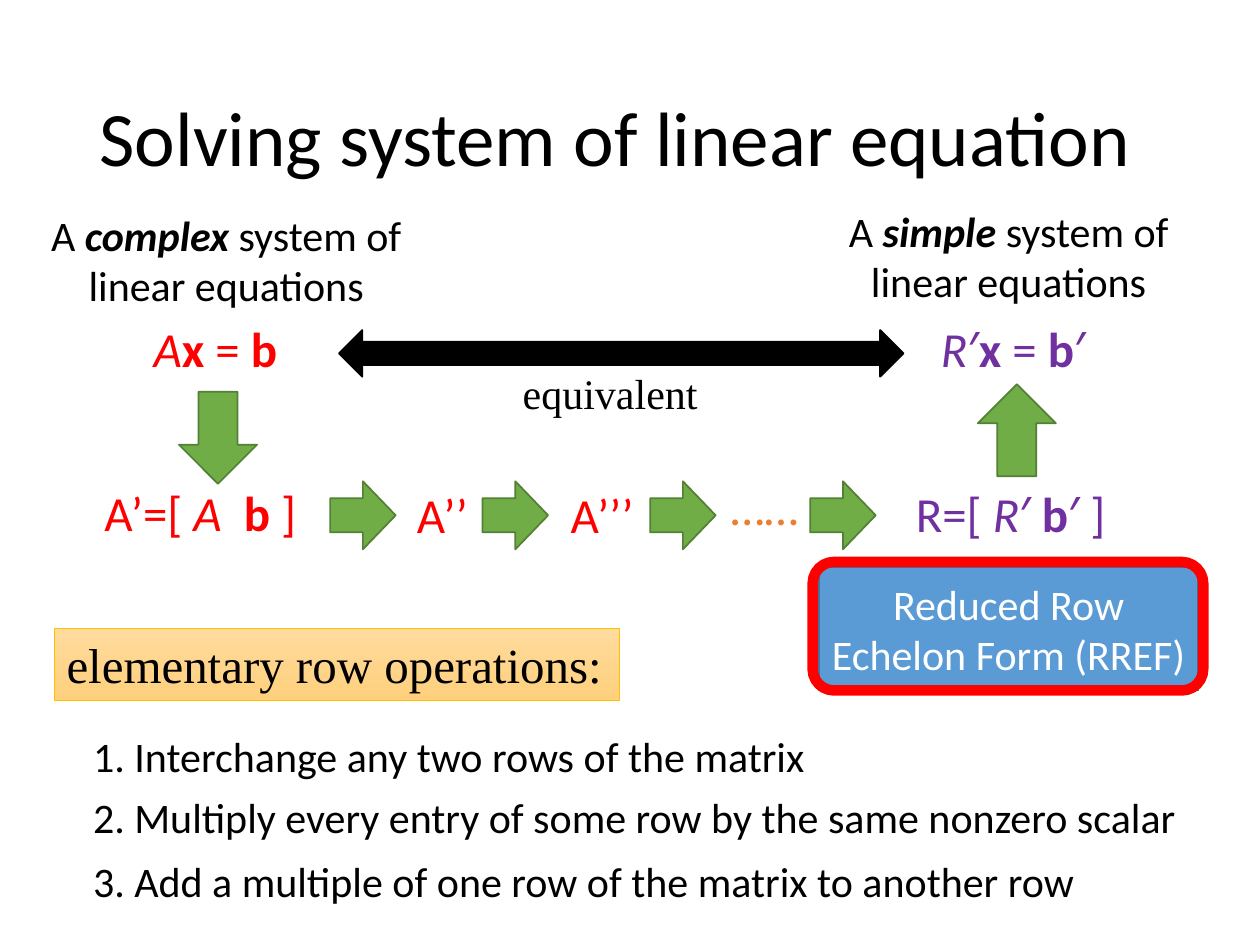
from pptx import Presentation
from pptx.dml.color import RGBColor
from pptx.enum.shapes import MSO_SHAPE
from pptx.enum.text import MSO_ANCHOR, MSO_AUTO_SIZE, PP_ALIGN
from pptx.util import Inches, Pt

LEFT, CENTER = PP_ALIGN.LEFT, PP_ALIGN.CENTER
MIDDLE, TOP = MSO_ANCHOR.MIDDLE, MSO_ANCHOR.TOP
NO_FIT, GROW = MSO_AUTO_SIZE.NONE, MSO_AUTO_SIZE.SHAPE_TO_FIT_TEXT
DOWN, UP, RIGHT = MSO_SHAPE.DOWN_ARROW, MSO_SHAPE.UP_ARROW, MSO_SHAPE.RIGHT_ARROW
BOTH_WAYS = MSO_SHAPE.LEFT_RIGHT_ARROW
RECT, ROUNDED = MSO_SHAPE.RECTANGLE, MSO_SHAPE.ROUNDED_RECTANGLE

BLACK = RGBColor(0x00, 0x00, 0x00)
WHITE = RGBColor(0xFF, 0xFF, 0xFF)
RED = RGBColor(0xFF, 0x00, 0x00)
PURPLE = RGBColor(0x70, 0x30, 0xA0)
ORANGE = RGBColor(0xED, 0x7D, 0x31)
GREEN = RGBColor(0x70, 0xAD, 0x47)
DARK_GREEN = RGBColor(0x53, 0x80, 0x35)
BLUE = RGBColor(0x5B, 0x9B, 0xD5)
DARK_BLUE = RGBColor(0x43, 0x73, 0x9E)
GOLD = RGBColor(0xFF, 0xC0, 0x00)
LIGHT_SAND = RGBColor(0xFF, 0xDB, 0x9E)
SAND = RGBColor(0xFF, 0xD0, 0x7C)

SANS, SERIF = "Calibri", "Times New Roman"


class SlideBuilder:
    def __init__(self, slide):
        self.slide = slide

    def set_runs(self, frame, parts, size, color=BLACK, font=SANS, align=LEFT):
        paragraph = frame.paragraphs[0]
        paragraph.alignment = align
        for text, style in parts:
            run = paragraph.add_run()
            run.text = text
            run.font.name = font
            run.font.size = Pt(size)
            run.font.color.rgb = color
            run.font.bold = "b" in style
            run.font.italic = "i" in style

    def title(self, text, left, top, width, height):
        title = self.slide.shapes.title
        title.left, title.top = Inches(left), Inches(top)
        title.width, title.height = Inches(width), Inches(height)
        frame = title.text_frame
        frame.auto_size = NO_FIT
        frame.vertical_anchor = MIDDLE
        frame.paragraphs[0].line_spacing = 0.9
        self.set_runs(frame, [(text, "")], 44)

    def label(self, parts, left, top, width, height, size=28, wrap=False, **style):
        box = self.slide.shapes.add_textbox(
            Inches(left), Inches(top), Inches(width), Inches(height))
        frame = box.text_frame
        frame.word_wrap = wrap
        frame.auto_size = GROW
        self.set_runs(frame, parts, size, **style)

    def shape(self, kind, left, top, width, height, fill, line, line_width=1):
        shape = self.slide.shapes.add_shape(
            kind, Inches(left), Inches(top), Inches(width), Inches(height))
        shape.shadow.inherit = False
        if fill is None:
            shape.fill.background()
        else:
            shape.fill.solid()
            shape.fill.fore_color.rgb = fill
        shape.line.color.rgb = line
        shape.line.width = Pt(line_width)
        return shape

    def step_arrow(self, kind, left, top, width, height):
        self.shape(kind, left, top, width, height, GREEN, DARK_GREEN)

    def heading(self, text, left, top, width, height):
        banner = self.shape(RECT, left, top, width, height, SAND, GOLD, 0.5)
        banner.fill.gradient()
        banner.fill.gradient_angle = 270
        for stop, color in zip(banner.fill.gradient_stops, (LIGHT_SAND, SAND)):
            stop.color.rgb = color
        frame = banner.text_frame
        frame.word_wrap = False
        frame.auto_size = GROW
        frame.vertical_anchor = TOP
        self.set_runs(frame, [(text, "")], 28, font=SERIF)

    def framed_box(self, text, left, top, width, height):
        box = self.shape(RECT, left, top, width, height, BLUE, DARK_BLUE)
        box.text_frame.word_wrap = True
        box.text_frame.vertical_anchor = MIDDLE
        self.set_runs(box.text_frame, [(text, "")], 24, WHITE, align=CENTER)
        self.shape(ROUNDED, left - 0.05, top - 0.04, width + 0.09, height + 0.04,
                   None, RED, 6)


def main():
    deck = Presentation()
    deck.slide_width, deck.slide_height = Inches(10), Inches(7.5)
    page = SlideBuilder(deck.slides.add_slide(deck.slide_layouts[5]))

    page.title("Solving system of linear equation", 0.69, 0.4, 8.62, 1.45)

    for kind, left, top in (("complex", 0.19, 1.61), ("simple", 6.4, 1.58)):
        page.label([("A ", ""), (kind, "bi"), (" system of linear equations", "")],
                   left, top, 3.21, 0.91, size=24, wrap=True, align=CENTER)

    page.label([("A", "i"), ("x", "b"), (" = ", ""), ("b", "b")],
               1.12, 2.48, 1.29, 0.57, color=RED)
    page.label([("R", "i"), ("′", ""), ("x", "b"), (" = ", ""), ("b", "b"), ("′", "")],
               7.37, 2.48, 1.37, 0.57, color=PURPLE)
    page.shape(BOTH_WAYS, 2.69, 2.62, 4.48, 0.37, BLACK, BLACK)
    page.label([("equivalent", "")], 4.05, 2.87, 1.59, 0.5, size=24, font=SERIF)

    page.step_arrow(DOWN, 1.42, 3.11, 0.62, 0.73)
    page.step_arrow(UP, 7.76, 3.05, 0.62, 0.73)
    for left in (2.62, 3.83, 5.16, 6.43):
        page.step_arrow(RIGHT, left, 3.82, 0.52, 0.54)

    page.label([("A’=[ ", ""), ("A  ", "i"), ("b ", "b"), ("]", "")],
               0.73, 3.78, 1.85, 0.57, color=RED)
    page.label([("A’’", "")], 3.21, 3.8, 0.62, 0.57, color=RED)
    page.label([("A’’’", "")], 4.43, 3.8, 0.72, 0.57, color=RED)
    page.label([("……", "")], 5.7, 3.73, 0.77, 0.57, color=ORANGE)
    page.label([("R=[ ", ""), ("R", "i"), ("′ ", ""), ("b", "b"), ("′ ]", "")],
               7.17, 3.79, 1.74, 0.57, color=PURPLE)

    page.framed_box("Reduced Row Echelon Form (RREF)", 6.5, 4.5, 3.01, 0.98)

    page.heading("elementary row operations:", 0.43, 4.99, 4.49, 0.57)
    operations = (
        (5.75, "1. Interchange any two rows of the matrix"),
        (6.23, "2. Multiply every entry of some row by the same nonzero scalar"),
        (6.74, "3. Add a multiple of one row of the matrix to another row"),
    )
    for top, operation in operations:
        page.label([(operation, "")], 0.64, top, 9.3, 0.5, size=24, wrap=True)

    deck.save("out.pptx")


if __name__ == "__main__":
    main()
